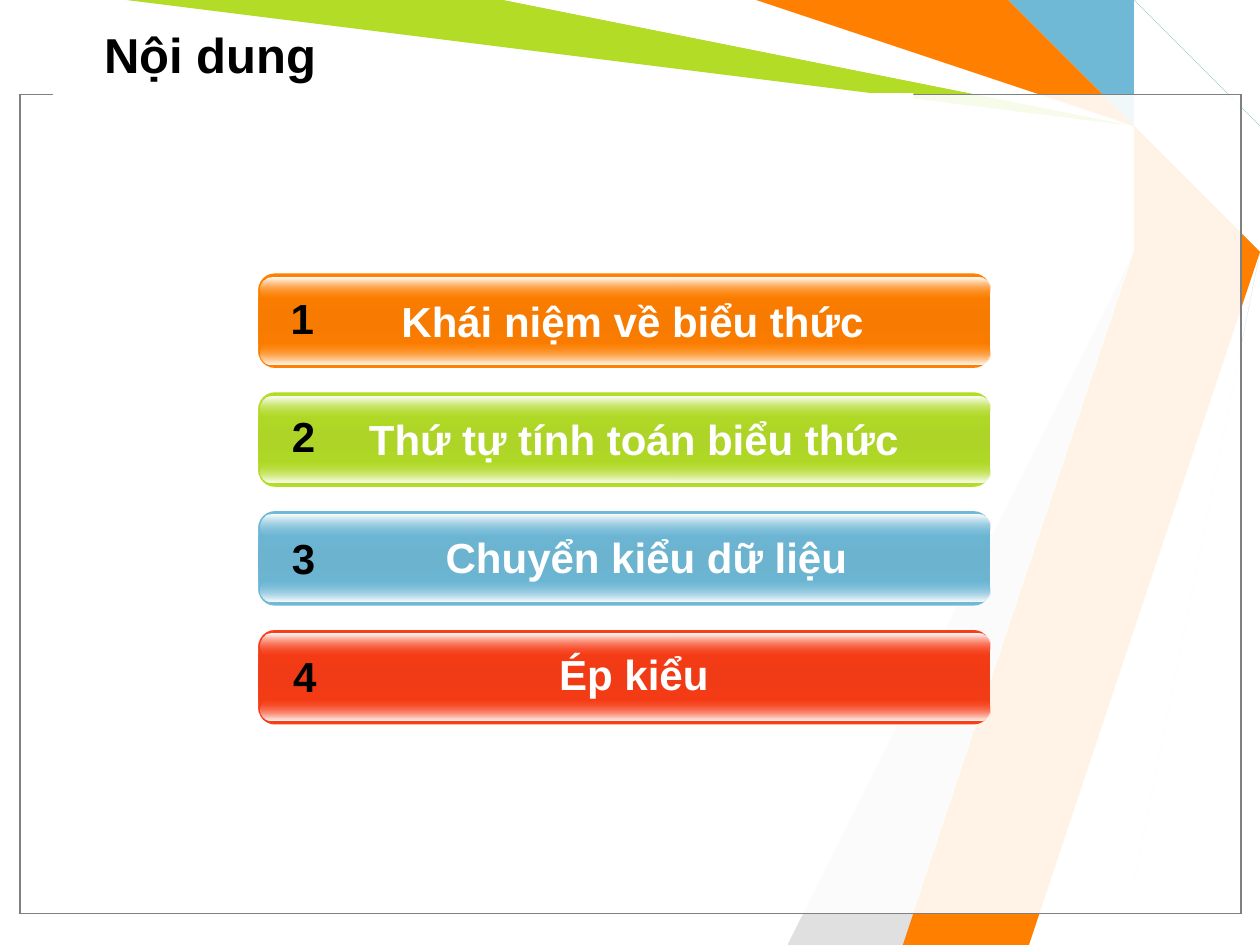
import pptx
import pptx.dml.color
import pptx.enum.shapes
import pptx.enum.text
import pptx.oxml
import pptx.oxml.ns
import pptx.util

Inches, Pt = pptx.util.Inches, pptx.util.Pt
RGB = pptx.dml.color.RGBColor.from_string
SHAPE = pptx.enum.shapes.MSO_SHAPE
ALIGN = pptx.enum.text.PP_ALIGN
qn = pptx.oxml.ns.qn

THEME = {
    "font": "Arial", "title_size": 28, "item_size": 24,
    "black": "000000", "white": "FFFFFF", "frame": "808080",
    "orange": "FF7F00", "green": "B3DC27", "blue": "6FB9D7", "red": "F93D17",
    "orange_mid": "F67B00", "green_mid": "ADD426", "blue_mid": "6BB3CF", "red_mid": "F03B16",
    "grey": "E0E0E0", "pale_blue": "B4E3EE", "teal": "189180",
}


def color_xml(tag, color, alpha, attrs=""):
    ns = pptx.oxml.ns.nsdecls("a")
    return pptx.oxml.parse_xml(
        f'<a:{tag} {ns} {attrs}><a:srgbClr val="{THEME[color]}">'
        f'<a:alpha val="{alpha * 1000}"/></a:srgbClr></a:{tag}>')


def add_text(p, text, size, color):
    r = p.add_run()
    r.text = text
    r.font.name = THEME["font"]
    r.font.size = Pt(THEME[size])
    r.font.bold = True
    r.font.color.rgb = RGB(THEME[color])


prs = pptx.Presentation()
prs.slide_width, prs.slide_height = Inches(10), Inches(7.5)
s = prs.slides.add_slide(prs.slide_layouts[5])

# Background ribbons, back to front
ribbons = [
    ("blue", [(8.92, 0), (9.29, 0.77), (9.58, 1.67), (9.11, 7.49), (8.56, 7.49),
              (9.5, 1.67), (9.17, 0.75), (8.38, 0)]),
    ("green", [(1.17, 0), (3.83, 0), (9.14, 0.78), (9.42, 1.69), (7.42, 7.5),
               (6.92, 7.5), (9.35, 1.73), (9.01, 0.91)]),
    ("grey", [(6.67, 7.5), (9.27, 1.81), (6, 7.5)]),
    ("white", [(3.75, 0), (9.1, 0.82), (9.32, 1.62), (6.75, 7.5), (7, 7.5),
               (9.41, 1.58), (9.17, 0.75), (6, 0)]),
    ("pale_blue", [(9.25, 0), (9.17, 0.17), (9.78, 1.2), (10, 1.25), (10, 1),
                   (9.25, 0.17), (9.32, 0)]),
    ("teal", [(10, 0.83), (9.42, 0.25), (10, 0.67)]),
    ("orange", [(6.08, 0), (7.92, 0), (9.3, 0.7), (9.66, 1.69), (8.33, 7.5),
                (7.33, 7.5), (9.42, 1.58), (9.17, 0.75)]),
    ("red", [(7.32, 7.5), (9.32, 1.83), (7.49, 7.5)]),
]
for color, points in ribbons:
    fb = s.shapes.build_freeform(*points[0], scale=Inches(1))
    fb.add_line_segments(points[1:], close=True)
    sp = fb.convert_to_shape()
    sp.shadow.inherit = False
    sp.fill.solid()
    sp.fill.fore_color.rgb = RGB(THEME[color])
    sp.line.fill.background()

# Two translucent panels form the framed content area
for line_color in ("black", "frame"):
    sp = s.shapes.add_shape(SHAPE.RECTANGLE, Inches(0.16), Inches(0.75), Inches(9.69), Inches(6.5))
    sp.shadow.inherit = False
    sp.fill.solid()
    solid = sp._element.spPr.find(qn("a:solidFill"))
    solid.getparent().replace(solid, color_xml("solidFill", "white", 69))
    sp.line.color.rgb = RGB(THEME[line_color])
    sp.line.width = Pt(0.75)

# Gap in the frame under the title
sp = s.shapes.add_shape(SHAPE.RECTANGLE, Inches(0.42), Inches(0.74), Inches(6.83), Inches(0.17))
sp.shadow.inherit = False
sp.fill.solid()
sp.fill.fore_color.rgb = RGB(THEME["white"])
sp.line.fill.background()

# Title, brought in front of the ribbons
title = s.shapes.title
s.shapes._spTree.append(title._element)
title.left, title.top = Inches(0.73), Inches(0.08)
title.width, title.height = Inches(9.11), Inches(0.69)
tf = title.text_frame
tf.auto_size = pptx.enum.text.MSO_AUTO_SIZE.NONE
tf.vertical_anchor = pptx.enum.text.MSO_ANCHOR.MIDDLE
tf.paragraphs[0].alignment = ALIGN.LEFT
add_text(tf.paragraphs[0], "Nội dung", "title_size", "black")

# Agenda: colour, label with its left and top, number left and top
items = [
    ("orange", "Khái niệm về biểu thức", 2.56, 2.3, 2.19, 2.27),
    ("green", "Thứ tự tính toán biểu thức", 2.57, 3.23, 2.2, 3.21),
    ("blue", "Chuyển kiểu dữ liệu", 2.67, 4.17, 2.2, 4.18),
    ("red", "Ép kiểu", 2.57, 5.1, 2.21, 5.11),
]
first_top, last_top = 2.17, 5
pitch = (last_top - first_top) / (len(items) - 1)
for i, (color, label, label_x, label_y, number_x, number_y) in enumerate(items):
    top = first_top + i * pitch

    # Glossy bar: body, lower glow, upper glow
    layers = [
        (2.05, top, 5.81, 0.75, 0.175, [(0, color, 100), (50, color + "_mid", 100), (100, color, 100)]),
        (2.07, top + 0.54, 5.79, 0.18, 0.5, [(0, color, 0), (100, "white", 100)]),
        (2.07, top + 0.03, 5.79, 0.18, 0.5, [(0, "white", 100), (100, color, 0)]),
    ]
    for x, y, w, h, corner, stops in layers:
        sp = s.shapes.add_shape(SHAPE.ROUNDED_RECTANGLE, Inches(x), Inches(y), Inches(w), Inches(h))
        sp.adjustments[0] = corner
        sp.shadow.inherit = False
        sp.line.fill.background()
        sp.fill.gradient()
        sp.fill.gradient_angle = 270
        stop_list = sp._element.spPr.find(qn("a:gradFill")).find(qn("a:gsLst"))
        for old in list(stop_list):
            stop_list.remove(old)
        for pos, stop_color, alpha in stops:
            stop_list.append(color_xml("gs", stop_color, alpha, f'pos="{pos * 1000}"'))

    # Label and number
    for text, x, y, w, text_color in ((label, label_x, label_y, 4.92, "white"),
                                      (str(i + 1), number_x, number_y, 0.42, "black")):
        tf = s.shapes.add_textbox(Inches(x), Inches(y), Inches(w), Inches(0.5)).text_frame
        tf.word_wrap = True
        tf.auto_size = pptx.enum.text.MSO_AUTO_SIZE.SHAPE_TO_FIT_TEXT
        p = tf.paragraphs[0]
        p.alignment = ALIGN.CENTER
        add_text(p, text, "item_size", text_color)

prs.save("out.pptx")
